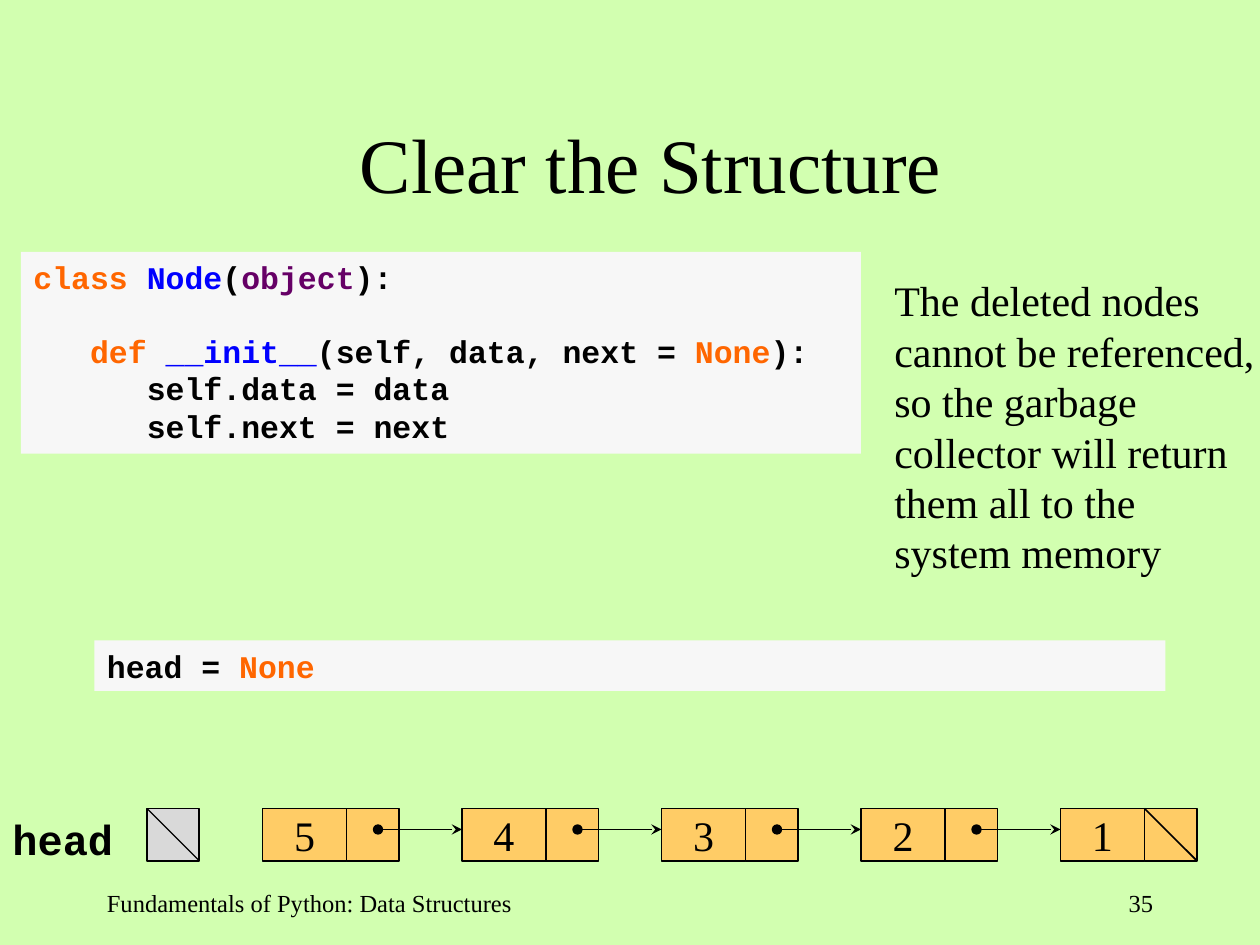
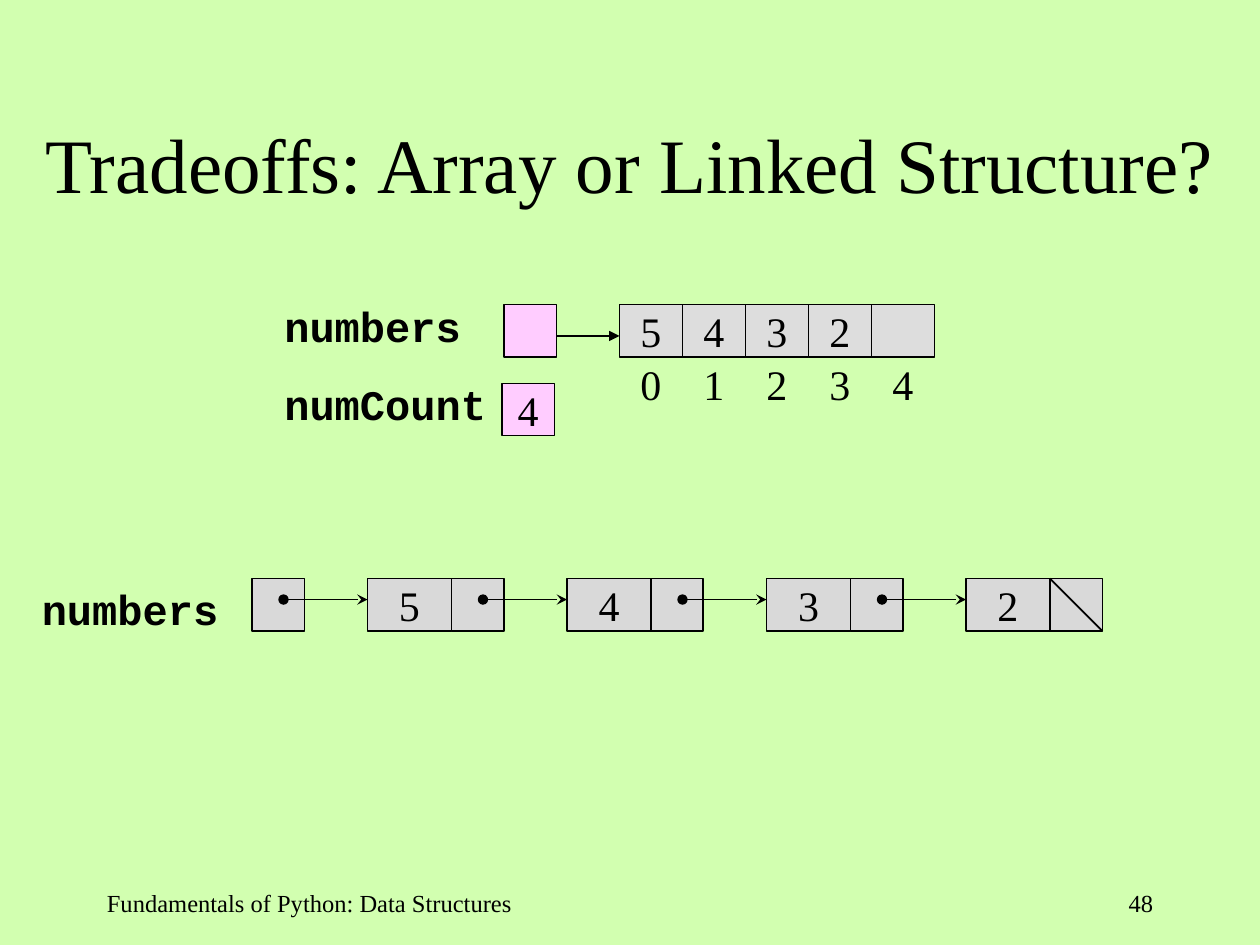
from dataclasses import dataclass

from lxml.etree import SubElement
from pptx import Presentation
from pptx.dml.color import RGBColor
from pptx.enum.shapes import MSO_CONNECTOR as Connector, MSO_SHAPE as Shape
from pptx.enum.text import MSO_ANCHOR as Anchor, PP_ALIGN as Align
from pptx.oxml.ns import qn
from pptx.util import Emu, Pt

EMU_PER_PX = 7620  # 120 px to the inch
BOX = 50           # height of every box, width of a pointer box
DATA_W = 80        # data half of a node
PITCH = 190        # from one node to the next
CELL_W = 60        # one array cell


@dataclass(frozen=True)
class Theme:
    serif: str = "Times New Roman"
    mono: str = "Courier New"
    background: str = "D2FFB0"
    ink: str = "000000"
    code_fill: str = "F7F7F7"
    keyword: str = "FF6600"
    name: str = "0000FF"
    builtin: str = "660066"
    node: str = "FFCC66"
    gray: str = "D9D9D9"
    cell: str = "DDDDDD"
    variable: str = "FFCCFF"
    title_size: int = 44
    body_size: int = 24
    code_size: int = 18
    footer_size: int = 14
    line: float = 1
    thin: float = 0.75


def px(n):
    return Emu(n * EMU_PER_PX)


def rgb(color):
    return RGBColor.from_string(color)


class Deck:
    def __init__(self, theme):
        self.theme = theme
        self.prs = Presentation()
        self.prs.slide_width, self.prs.slide_height = px(1200), px(900)
        fill = self.prs.slide_master.background.fill
        fill.solid()
        fill.fore_color.rgb = rgb(theme.background)
        self.slide = None

    def new_slide(self, title, number, title_x=0, title_w=1200):
        """Start a slide with its title, footer and slide number."""
        t = self.theme
        self.slide = self.prs.slides.add_slide(self.prs.slide_layouts[6])
        self.text(title, title_x, 80, title_w, 150, size=t.title_size,
                  align=Align.CENTER, anchor=Anchor.MIDDLE)
        self.text("Fundamentals of Python: Data Structures", 90, 840, 430, 60,
                  size=t.footer_size)
        self.text(str(number), 860, 840, 250, 60, size=t.footer_size,
                  align=Align.RIGHT)

    def style_run(self, r, size, font, color, bold=False):
        r.font.size = Pt(size)
        r.font.name = font
        r.font.bold = bold
        r.font.color.rgb = rgb(color)

    def set_text(self, sp, text, size, font, bold=False, align=Align.LEFT,
                 anchor=Anchor.TOP, wrap=True):
        tf = sp.text_frame
        tf.word_wrap = wrap
        tf.vertical_anchor = anchor
        tf.text = text
        p = tf.paragraphs[0]
        p.alignment = align
        for r in p.runs:
            self.style_run(r, size, font, self.theme.ink, bold)

    def text(self, text, x, y, w, h, size=None, **layout):
        sp = self.slide.shapes.add_textbox(px(x), px(y), px(w), px(h))
        self.set_text(sp, text, size or self.theme.body_size,
                      self.theme.serif, **layout)

    def label(self, text, x, y, w):
        """Name a variable beside its box."""
        sp = self.slide.shapes.add_textbox(px(x), px(y), px(w), px(60))
        self.set_text(sp, text, self.theme.body_size, self.theme.mono,
                      bold=True, wrap=False)

    def rect(self, x, y, w, h, fill, line=None):
        sp = self.slide.shapes.add_shape(Shape.RECTANGLE, px(x), px(y),
                                         px(w), px(h))
        sp.shadow.inherit = False
        sp.fill.solid()
        sp.fill.fore_color.rgb = rgb(fill)
        if line:
            sp.line.color.rgb = rgb(self.theme.ink)
            sp.line.width = Pt(line)
        else:
            sp.line.fill.background()
        return sp

    def box(self, x, y, fill, text="", w=BOX, line=None):
        sp = self.rect(x, y, w, BOX, fill, line or self.theme.line)
        if text:
            self.set_text(sp, text, self.theme.body_size, self.theme.serif,
                          align=Align.CENTER, anchor=Anchor.MIDDLE, wrap=False)

    def line(self, x1, y1, x2, y2, width=None, head=None, tail=None):
        c = self.slide.shapes.add_connector(Connector.STRAIGHT, px(x1), px(y1),
                                            px(x2), px(y2))
        c.line.color.rgb = rgb(self.theme.ink)
        c.line.width = Pt(width or self.theme.line)
        ln = c.line._get_or_add_ln()
        for tag, kind in (("a:headEnd", head), ("a:tailEnd", tail)):
            if kind:
                SubElement(ln, qn(tag), type=kind)
        SubElement(c._element.spPr, qn("a:effectLst"))

    def pointer(self, x, y):
        """Arrow from inside the pointer box at x, y to the next node."""
        self.line(x + 30, y + 20, x + 110, y + 20, head="oval", tail="stealth")

    def null(self, x, y, width=None):
        """Diagonal that marks an empty pointer box."""
        self.line(x, y, x + BOX, y + BOX, width)

    def linked_list(self, values, x, y, fill):
        pointers = [x + i * PITCH + DATA_W for i in range(len(values))]
        for value, link in zip(values, pointers):
            self.box(link, y, fill)
            self.box(link - DATA_W, y, fill, value, w=DATA_W)
        for link in pointers[:-1]:
            self.pointer(link, y)
        self.null(pointers[-1], y)

    def array(self, values, x, y):
        """Row of cells with an index under each."""
        for i, value in enumerate(values):
            left = x + i * CELL_W
            self.box(left, y, self.theme.cell, value, w=CELL_W,
                     line=self.theme.thin)
            self.text(str(i), left, y + 46, CELL_W, 60, align=Align.CENTER)

    def code(self, lines, x, y, w, h):
        """Each line is (indent level, blank lines above, [(text, color)])."""
        t = self.theme
        tf = self.rect(x, y, w, h, t.code_fill).text_frame
        tf.word_wrap = True
        tf.vertical_anchor = Anchor.TOP
        for i, (level, blanks, tokens) in enumerate(lines):
            p = tf.add_paragraph() if i else tf.paragraphs[0]
            p.alignment = Align.LEFT
            p.space_before = Pt(blanks * t.code_size * 1.13)
            indent = Pt(level * 3 * t.code_size * 0.6)  # three characters
            p._p.get_or_add_pPr().set("marL", str(indent))
            for text, color in tokens:
                r = p.add_run()
                r.text = text
                self.style_run(r, t.code_size, t.mono, color, bold=True)


def clear_slide(deck):
    t = deck.theme
    deck.new_slide("Clear the Structure", 35, title_x=90, title_w=1060)
    deck.code([
        (0, 0, [("class ", t.keyword), ("Node", t.name), ("(", t.ink),
                ("object", t.builtin), ("):", t.ink)]),
        (1, 1, [("def ", t.keyword), ("__init__", t.name),
                ("(self, data, next = ", t.ink), ("None", t.keyword),
                ("):", t.ink)]),
        (2, 0, [("self.data = data", t.ink)]),
        (2, 0, [("self.next = next", t.ink)]),
    ], 20, 240, 800, 192)
    deck.text("The deleted nodes cannot be referenced, so the garbage "
              "collector will return them all to the system memory",
              840, 256, 372, 300)
    deck.code([(0, 0, [("head = ", t.ink), ("None", t.keyword)])],
              90, 610, 1020, 48)
    deck.label("head", 0, 769, 120)
    deck.box(140, 770, t.gray)
    deck.null(140, 770, t.thin)
    deck.linked_list("54321", 250, 770, t.node)


def tradeoffs_slide(deck):
    t = deck.theme
    deck.new_slide("Tradeoffs: Array or Linked Structure?", 48)
    deck.label("numbers", 259, 280, 192)
    deck.box(480, 290, t.variable, line=t.thin)
    deck.array(["5", "4", "3", "2", ""], 590, 290)
    deck.line(530, 320, 590, 320, t.thin, tail="triangle")
    deck.label("numCount", 259, 355, 216)
    deck.box(478, 365, t.variable, "4", line=t.thin)

    deck.label("numbers", 28, 550, 192)
    deck.box(240, 551, t.gray)
    deck.pointer(240, 551)
    deck.linked_list("5432", 350, 551, t.gray)


def main():
    deck = Deck(Theme())
    clear_slide(deck)
    tradeoffs_slide(deck)
    deck.prs.save("out.pptx")


if __name__ == "__main__":
    main()
